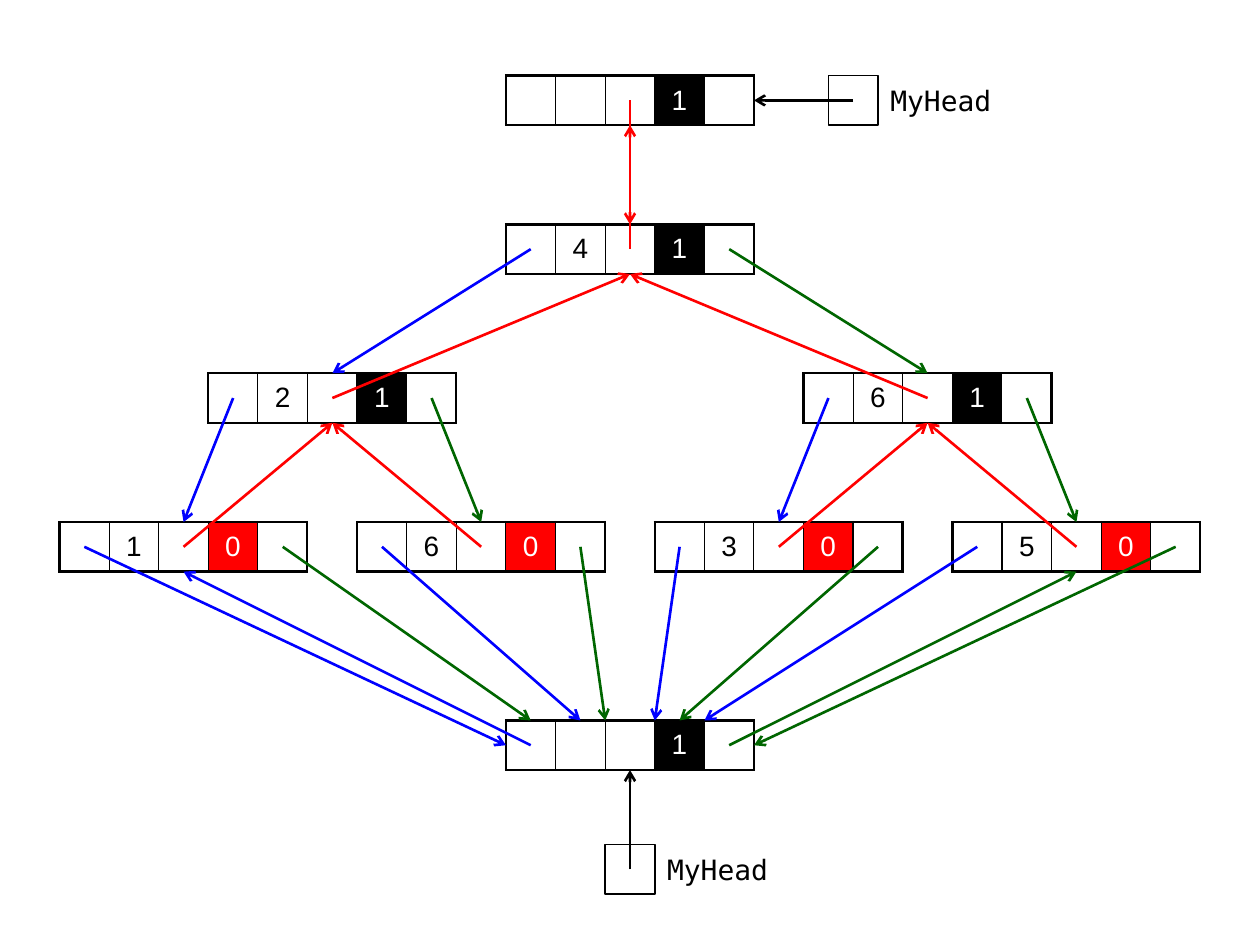
import pptx
import pptx.dml.color
import pptx.enum.shapes
import pptx.enum.text
import pptx.util
from lxml import etree
from pptx.oxml.ns import qn

Inches = pptx.util.Inches
Pt = pptx.util.Pt
UNIT = 1 / 2.54  # one cell, in inches
BLACK, WHITE, RED = "000000", "FFFFFF", "FF0000"
BLUE, GREEN = "0000FF", "006600"


def color(text):
    return pptx.dml.color.RGBColor.from_string(text)


def across(x):
    """Cells right of the slide's middle, as a length."""
    return Inches(5 + x * UNIT)


def down(y):
    """Cells below the top row, as a length."""
    return Inches(0.6 + y * UNIT)


class Board:
    """Style and current slide; places are counted in cells."""

    def __init__(self, slide):
        self.shapes = slide.shapes
        self.side = Inches(UNIT)
        self.font = "Arial"
        self.mono = "DejaVu Sans Mono"
        self.size = Pt(16)

    def style(self, para, ink, font):
        para.font.size = self.size
        para.font.name = font
        para.font.color.rgb = color(ink)

    def edge(self, cell, tag, width):
        line = etree.SubElement(cell._tc.get_or_add_tcPr(), qn("a:" + tag),
                                w=str(Pt(width)))
        fill = etree.SubElement(line, qn("a:solidFill"))
        etree.SubElement(fill, qn("a:srgbClr"), val=BLACK)

    def node(self, x, y, key, bit):
        """Row of five cells centred on x: left, key, parent, colour bit, right."""
        frame = self.shapes.add_table(1, 5, across(x - 2.5), down(y),
                                      5 * self.side, self.side)
        table = frame.table
        table.first_row = table.horz_banding = False
        table.rows[0].height = self.side
        for i, text in enumerate(["", key, "", bit, ""]):
            table.columns[i].width = self.side
            cell = table.cell(0, i)
            cell.margin_left = cell.margin_right = 0
            cell.margin_top = cell.margin_bottom = 0
            cell.vertical_anchor = pptx.enum.text.MSO_ANCHOR.MIDDLE
            self.edge(cell, "lnL", 1.5 if i == 0 else 0.75)
            self.edge(cell, "lnR", 1.5 if i == 4 else 0.75)
            self.edge(cell, "lnT", 1.5)
            self.edge(cell, "lnB", 1.5)
            if i == 3:
                cell.fill.solid()
                cell.fill.fore_color.rgb = color(BLACK if bit == "1" else RED)
            else:
                cell.fill.background()
            cell.text = text
            para = cell.text_frame.paragraphs[0]
            para.alignment = pptx.enum.text.PP_ALIGN.CENTER
            self.style(para, WHITE if i == 3 else BLACK, self.font)

    def head(self, x, y, text):
        """Pointer box with its name on the right."""
        box = self.shapes.add_shape(pptx.enum.shapes.MSO_SHAPE.RECTANGLE,
                                    across(x), down(y), self.side, self.side)
        box.shadow.inherit = False
        box.fill.solid()
        box.fill.fore_color.rgb = color(WHITE)
        box.line.color.rgb = color(BLACK)
        box.line.width = Pt(1)
        label = self.shapes.add_textbox(across(x + 1), down(y),
                                        3 * self.side, self.side)
        frame = label.text_frame
        frame.word_wrap = True
        frame.vertical_anchor = pptx.enum.text.MSO_ANCHOR.MIDDLE
        frame.text = text
        self.style(frame.paragraphs[0], BLACK, self.mono)

    def arrow(self, x1, y1, x2, y2, ink):
        line = self.shapes.add_connector(
            pptx.enum.shapes.MSO_CONNECTOR.STRAIGHT,
            across(x1), down(y1), across(x2), down(y2))
        line.line.color.rgb = color(ink)
        line.line.width = Pt(1.5)
        etree.SubElement(line.line._get_or_add_ln(), qn("a:tailEnd"), type="arrow")
        etree.SubElement(line._element.spPr, qn("a:effectLst"))


def main():
    deck = pptx.Presentation()
    deck.slide_width, deck.slide_height = Inches(10), Inches(7.5)
    board = Board(deck.slides.add_slide(deck.slide_layouts[6]))

    top, root, mid, leaf, end = 0, 3, 6, 9, 13
    nodes = [
        (0, top, "", "1"), (0, root, "4", "1"),
        (-6, mid, "2", "1"), (6, mid, "6", "1"),
        (-9, leaf, "1", "0"), (-3, leaf, "6", "0"),
        (3, leaf, "3", "0"), (9, leaf, "5", "0"),
        (0, end, "", "1"),
    ]
    for node in nodes:
        board.node(*node)

    # parent and child: the child pointer, then the way back up
    for x, y, gap, low in [(0, root, 6, mid), (-6, mid, 3, leaf), (6, mid, 3, leaf)]:
        for sign, ink in [(-1, BLUE), (1, GREEN)]:
            kid = x + sign * gap
            board.arrow(x + 2 * sign, y + 0.5, kid, low, ink)
            board.arrow(kid, low + 0.5, x, y + 1, RED)
    board.arrow(0, top + 0.5, 0, root, RED)
    board.arrow(0, root + 0.5, 0, top + 1, RED)

    # outer pointers of the leaves meet the end node
    ends = [(-9, -2.5, -2), (-3, -1, -0.5), (3, 0.5, 1), (9, 1.5, 2.5)]
    for x, left, right in ends:
        for start, stop, ink in [(x - 2, left, BLUE), (x + 2, right, GREEN)]:
            y = end + 0.5 if abs(stop) == 2.5 else end
            board.arrow(start, leaf + 0.5, stop, y, ink)
    for sign, ink in [(-1, BLUE), (1, GREEN)]:
        board.arrow(2 * sign, end + 0.5, 9 * sign, leaf + 1, ink)

    board.head(4, top, "MyHead")
    board.arrow(4.5, top + 0.5, 2.5, top + 0.5, BLACK)
    board.head(-0.5, end + 2.5, "MyHead")
    board.arrow(0, end + 3, 0, end + 1, BLACK)

    deck.save("out.pptx")


if __name__ == "__main__":
    main()
